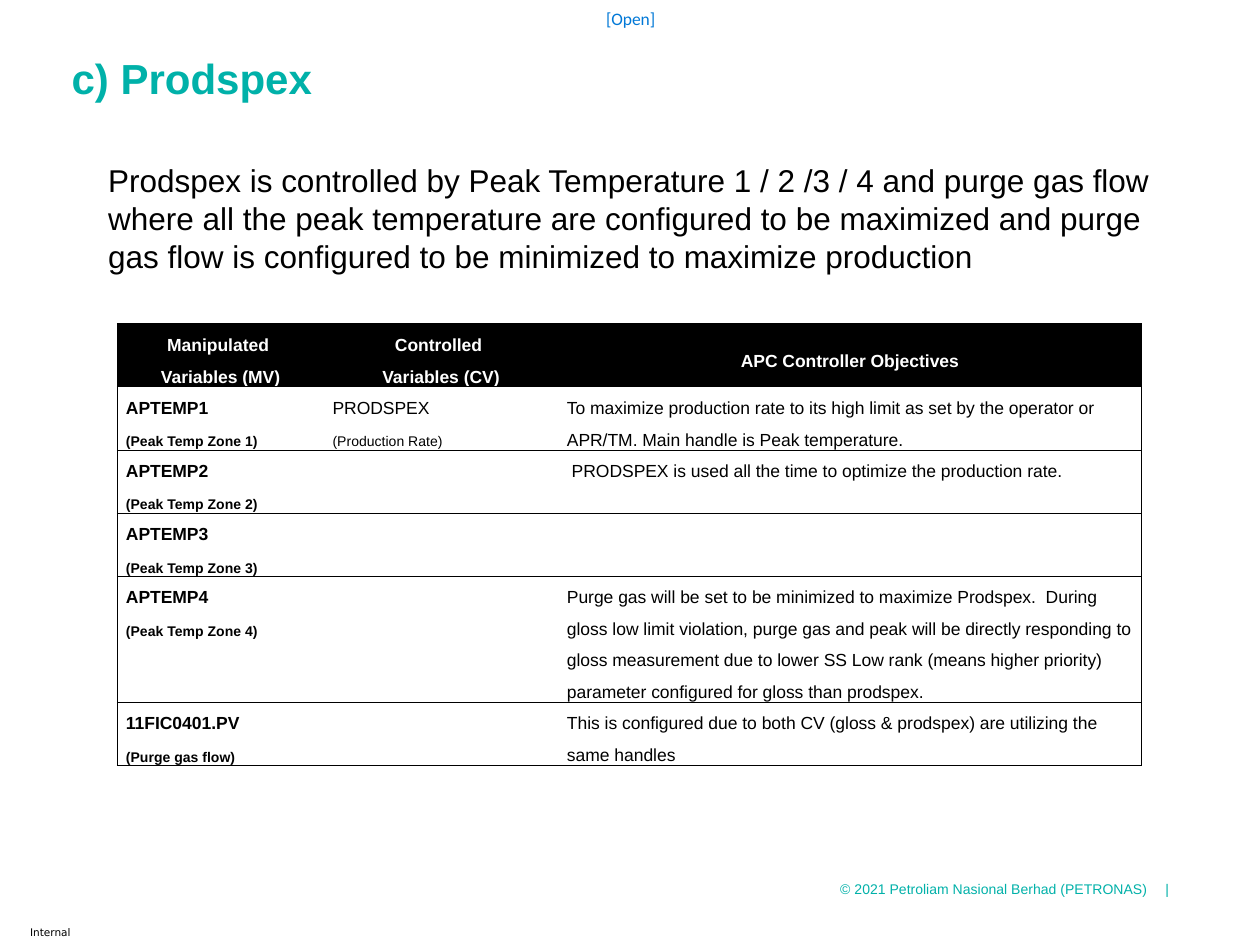
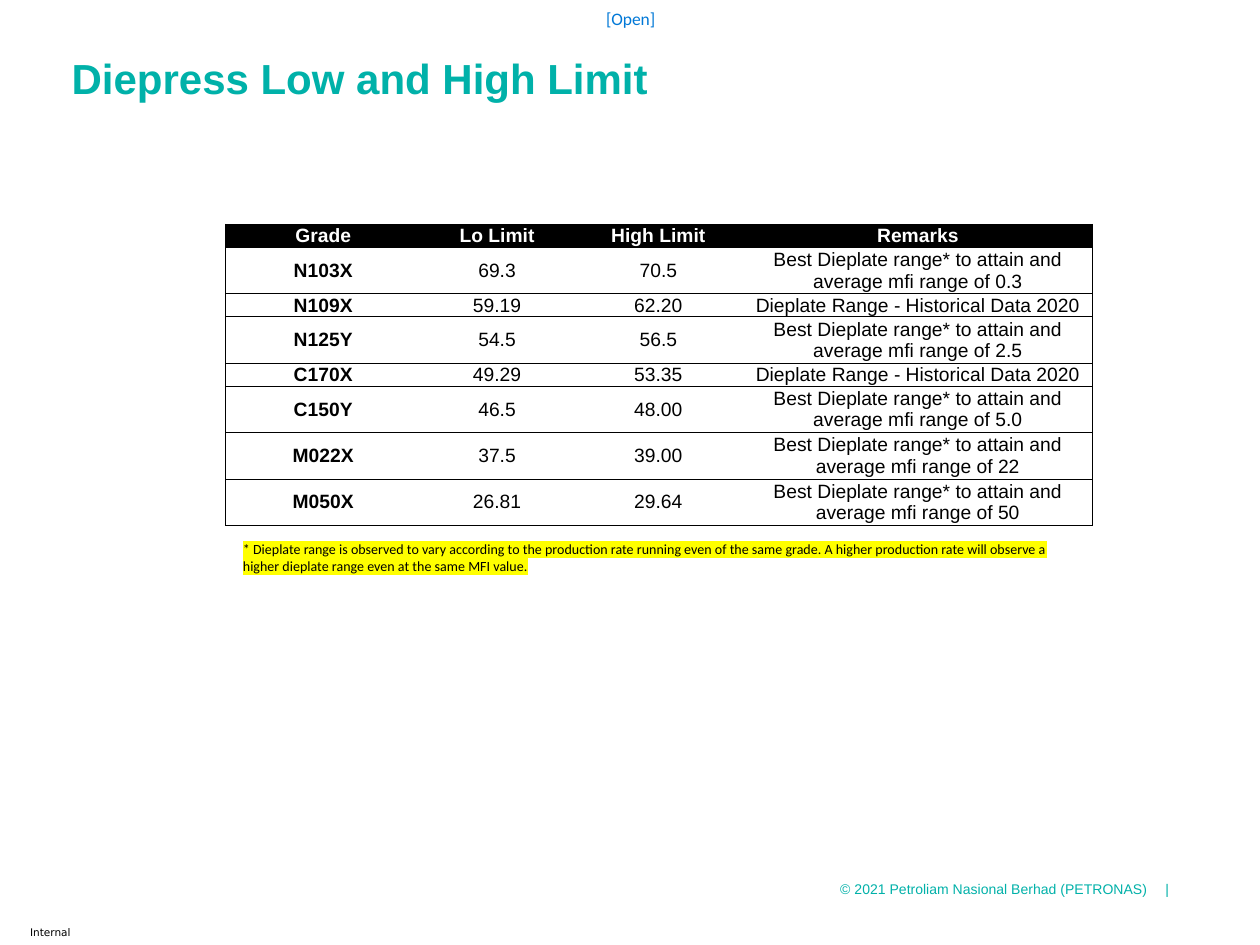
from copy import deepcopy

from lxml import etree
from pptx import Presentation
from pptx.dml.color import RGBColor
from pptx.enum.text import MSO_ANCHOR as Anchor, PP_ALIGN as Align
from pptx.oxml.ns import qn
from pptx.util import Inches, Pt

TEAL = RGBColor(0x00, 0xB1, 0xA9)
LABEL_BLUE = RGBColor(0x00, 0x78, 0xD7)
BLACK = RGBColor(0, 0, 0)
WHITE = RGBColor(255, 255, 255)
YELLOW = RGBColor(255, 255, 0)

# The slide is a grid of 100 columns by 75 rows of square units.
UNIT = Inches(0.1)
COLUMNS, ROWS = 100, 75
CELL_MARGIN = 0.7

CONTROL_HEADER = ["Manipulated \nVariables (MV)", "Controlled \nVariables (CV)",
                  "APC Controller Objectives"]
CONTROL_ROWS = [
    ("APTEMP1", "Peak Temp Zone 1",
     "To maximize production rate to its high limit as set by the operator or "
     "APR/TM. Main handle is Peak temperature."),
    ("APTEMP2", "Peak Temp Zone 2",
     " PRODSPEX is used all the time to optimize the production rate."),
    ("APTEMP3", "Peak Temp Zone 3", ""),
    ("APTEMP4", "Peak Temp Zone 4",
     "Purge gas will be set to be minimized to maximize Prodspex.  During gloss low "
     "limit violation, purge gas and peak will be directly responding to gloss "
     "measurement due to lower SS Low rank (means higher priority) parameter "
     "configured for gloss than prodspex."),
    ("11FIC0401.PV", "Purge gas flow",
     "This is configured due to both CV (gloss & prodspex) are utilizing the same "
     "handles"),
]

LIMIT_HEADER = ["Grade", "Lo Limit", "High Limit", "Remarks"]
HISTORICAL = "Dieplate Range - Historical Data 2020"
BEST_RANGE = "Best Dieplate range* to attain and average mfi range of "
LIMIT_ROWS = [
    ("N103X", "69.3", "70.5", BEST_RANGE + "0.3"),
    ("N109X", "59.19", "62.20", HISTORICAL),
    ("N125Y", "54.5", "56.5", BEST_RANGE + "2.5"),
    ("C170X", "49.29", "53.35", HISTORICAL),
    ("C150Y", "46.5", "48.00", BEST_RANGE + "5.0"),
    ("M022X", "37.5", "39.00", BEST_RANGE + "22"),
    ("M050X", "26.81", "29.64", BEST_RANGE + "50"),
]


def units(count):
    return round(count * UNIT)


def add_run(paragraph, text, size, color=BLACK, bold=False, font="Arial"):
    """Add text as runs, with a line break of the same size at each newline."""
    for index, line in enumerate(text.split("\n")):
        if index:
            paragraph.add_line_break()
            line_break = paragraph._p.findall(qn("a:br"))[-1]
            line_break.append(deepcopy(run._r.rPr))
        run = paragraph.add_run()
        run.text = line
        run.font.size, run.font.bold, run.font.name = Pt(size), bold, font
        run.font.color.rgb = color
    return run


def add_text(slide, place, text, size, color=BLACK, bold=False, font="Arial",
             align=Align.LEFT, wrap=True):
    """Add a one-paragraph text box; place is left, top, width, height in units."""
    frame = slide.shapes.add_textbox(*map(units, place)).text_frame
    frame.word_wrap = wrap
    paragraph = frame.paragraphs[0]
    paragraph.alignment = align
    add_run(paragraph, text, size, color, bold, font)
    return frame


def set_right_tab(paragraph, position):
    tabs = etree.SubElement(paragraph._p.get_or_add_pPr(), qn("a:tabLst"))
    etree.SubElement(tabs, qn("a:tab"), pos=str(units(position)), algn="r")


def highlight(run, color):
    mark = etree.Element(qn("a:highlight"))
    etree.SubElement(mark, qn("a:srgbClr"), val=str(color))
    run._r.rPr.find(qn("a:solidFill")).addnext(mark)


def set_borders(cell, sides):
    """Draw a thin black line on the given sides and none on the others."""
    properties = cell._tc.get_or_add_tcPr()
    for side in "LRTB":
        line = etree.SubElement(properties, qn("a:ln" + side), w=str(Pt(0.5)))
        if side in sides:
            fill = etree.SubElement(line, qn("a:solidFill"))
            etree.SubElement(fill, qn("a:srgbClr"), val=str(BLACK))
        else:
            etree.SubElement(line, qn("a:noFill"))


def fill_cell(cell, runs, background, align, anchor, spacing):
    """Write runs, given as (text, size, color, bold), into a cell."""
    cell.margin_left = cell.margin_right = units(CELL_MARGIN)
    cell.margin_top = cell.margin_bottom = 0
    cell.vertical_anchor = anchor
    cell.fill.solid()
    cell.fill.fore_color.rgb = background
    paragraph = cell.text_frame.paragraphs[0]
    paragraph.alignment = align
    paragraph.line_spacing = spacing
    for run in runs:
        add_run(paragraph, *run)
    if not runs:
        paragraph.font.size = Pt(8)


def add_ruled_table(slide, left, top, widths, heights, header, body, size,
                    align, anchor, spacing=None):
    """Add a table with a black header, row rules and an outer frame."""
    header_runs = [[(text, size, WHITE, True)] for text in header]
    table = slide.shapes.add_table(
        len(heights), len(widths), units(left), units(top),
        units(sum(widths)), units(sum(heights))).table
    table.horz_banding = False
    for column, width in zip(table.columns, widths):
        column.width = units(width)
    for row, height in zip(table.rows, heights):
        row.height = units(height)
    last = len(widths) - 1
    for r, row_runs in enumerate([header_runs] + body):
        for c, runs in enumerate(row_runs):
            cell = table.cell(r, c)
            set_borders(cell, "TB" + "L" * (c == 0) + "R" * (c == last))
            if r == 0:
                fill_cell(cell, runs, BLACK, Align.CENTER, Anchor.MIDDLE, spacing)
            else:
                fill_cell(cell, runs, WHITE, align, anchor, spacing)


def add_base_slide(deck, title):
    """Add a slide with the sensitivity labels, copyright line and title."""
    slide = deck.slides.add_slide(deck.slide_layouts[6])
    label = add_text(slide, (46.6, 0, 6.9, 2.9), "[Open]", 10, LABEL_BLUE,
                     font="Calibri", align=Align.CENTER)
    label.margin_left = label.margin_right = label.margin_top = label.margin_bottom = 0
    label.vertical_anchor = Anchor.MIDDLE
    notice = add_text(slide, (65.7, 69.4, 27.2, 2.4),
                      "© 2021 Petroliam Nasional Berhad (PETRONAS)\t|", 8, TEAL)
    notice.margin_right = 0
    set_right_tab(notice.paragraphs[0], 26.1)
    heading = add_text(slide, (4.7, 4.1, 90.6, 8.1), title, 24, TEAL, bold=True)
    heading.paragraphs[0].line_spacing = 0.9
    add_text(slide, (1.4, 73, 5.4, 2), "Internal", 6, font="DejaVu Sans", wrap=False)
    return slide


def control_runs(tag, meaning, objective, controlled):
    """Give the runs of one row of the controller table."""
    return [
        [(f"{tag}\n", 10, BLACK, True), (f"({meaning})", 8, BLACK, True)],
        controlled,
        [(objective, 10, BLACK, False)] if objective else [],
    ]


def build_prodspex(deck):
    slide = add_base_slide(deck, "c) Prodspex")
    add_text(slide, (7.6, 12.3, 87.7, 10.1),
             "Prodspex is controlled by Peak Temperature 1 / 2 /3 / 4 and purge gas flow "
             "where all the peak temperature are configured to be maximized and purge gas "
             "flow is configured to be minimized to maximize production", 18)
    prodspex = [("PRODSPEX\n", 10, BLACK, False), ("(Production Rate)", 8, BLACK, False)]
    body = [control_runs(*row, [] if index else prodspex)
            for index, row in enumerate(CONTROL_ROWS)]
    add_ruled_table(slide, 9.3, 25.7, [16.4, 18.6, 46.3], [5, 5, 5, 5, 10, 5],
                    CONTROL_HEADER, body, 10, Align.LEFT, Anchor.TOP, Pt(18))


def build_limits(deck):
    slide = add_base_slide(deck, "Diepress Low and High Limit")
    body = [[(text, 11, BLACK, column == 0)] for row in LIMIT_ROWS
            for column, text in enumerate(row)]
    width = len(LIMIT_HEADER)
    body = [body[start:start + width] for start in range(0, len(body), width)]
    line = 1.7
    heights = [line] + [line if row[-1] == HISTORICAL else 2 * line for row in LIMIT_ROWS]
    add_ruled_table(slide, 17.9, 17.8, [15.5, 12.1, 13.5, 27.7], heights,
                    LIMIT_HEADER, body, 11, Align.CENTER, Anchor.MIDDLE)
    footnote = add_text(
        slide, (13.3, 42.4, 73.4, 3.7),
        "* Dieplate range is observed to vary according to the production rate running "
        "even of the same grade. A higher production rate will observe a higher dieplate "
        "range even at the same MFI value.", 8, font="Calibri").paragraphs[0]
    footnote._p.get_or_add_pPr().set("marL", str(units(5)))
    highlight(footnote.runs[0], YELLOW)


def main():
    deck = Presentation()
    deck.slide_width, deck.slide_height = units(COLUMNS), units(ROWS)
    build_prodspex(deck)
    build_limits(deck)
    deck.save("out.pptx")


if __name__ == "__main__":
    main()
